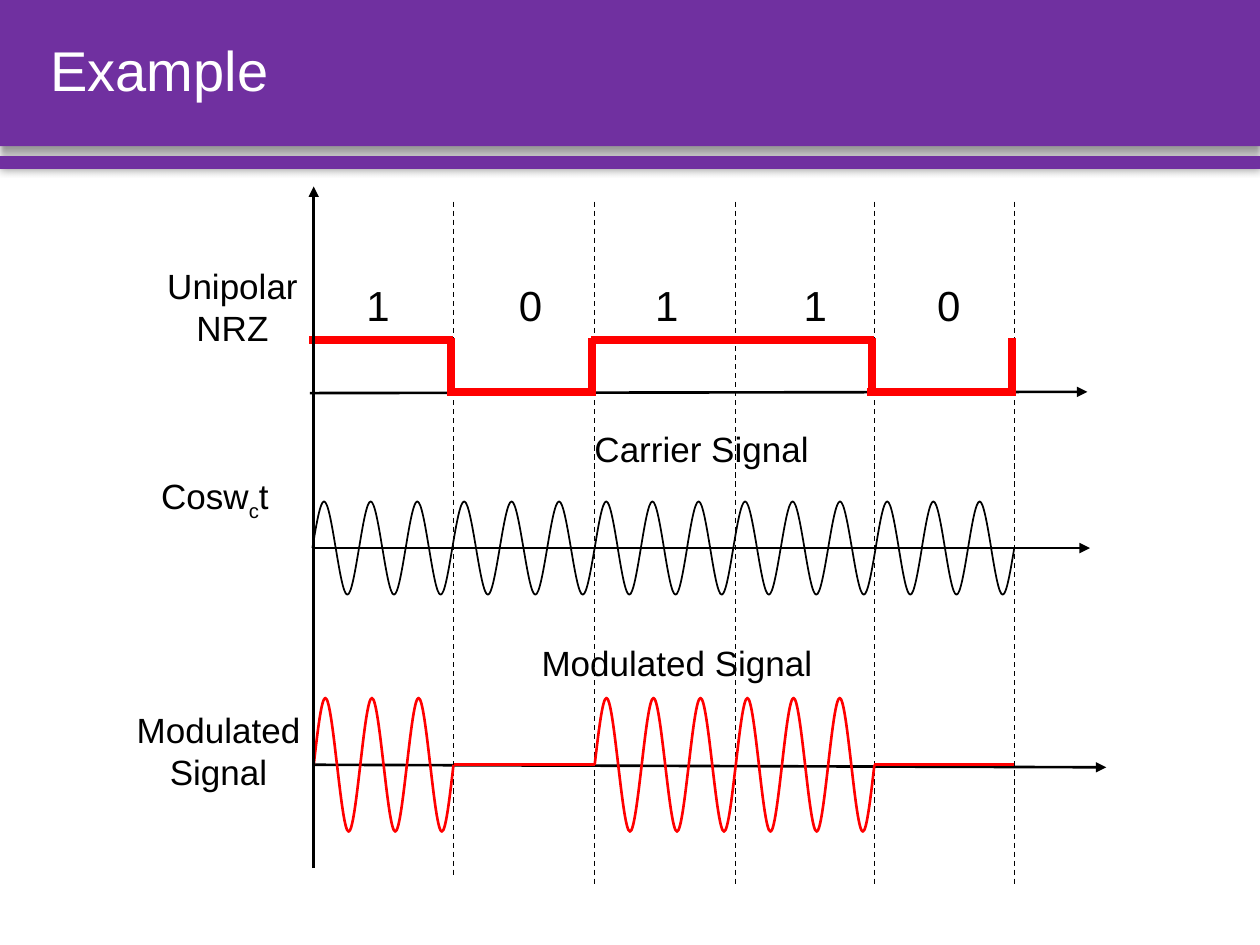
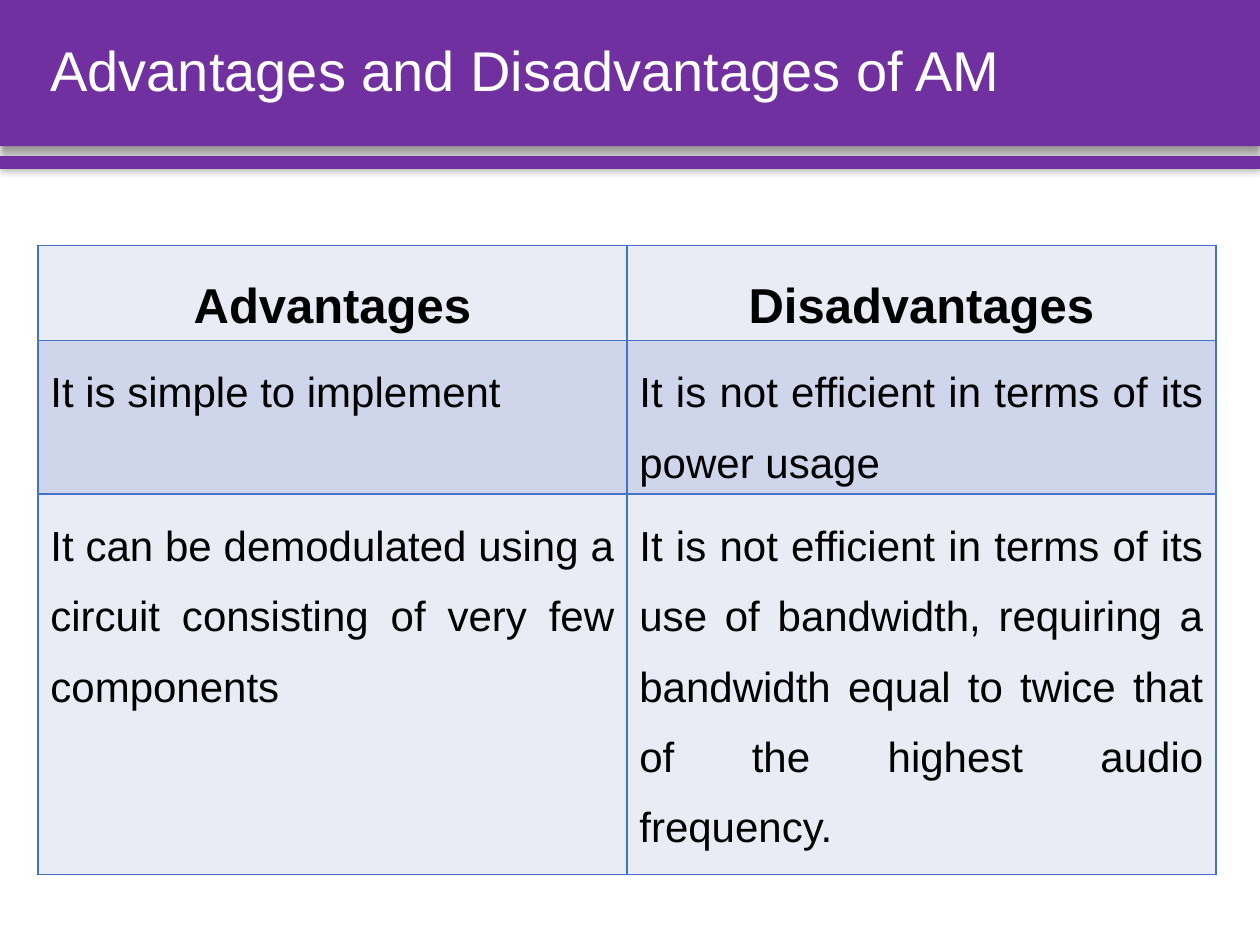
from dataclasses import dataclass

from lxml import etree
from pptx import Presentation
from pptx.dml.color import RGBColor
from pptx.enum.dml import MSO_LINE
from pptx.enum.shapes import MSO_CONNECTOR, MSO_SHAPE
from pptx.enum.text import MSO_ANCHOR, MSO_AUTO_SIZE, PP_ALIGN as Align
from pptx.oxml.ns import qn
from pptx.util import Inches, Pt

COLORS = {
    "band": "7030A0",
    "title": "FFFFFF",
    "ink": "000000",
    "signal": "FF0000",
    "border": "4472C4",
    "light_row": "E9EBF5",
    "dark_row": "CFD5EA",
}
FONT = "Arial"

# Time grid and levels of the three signals, in inches
BITS = "10110"
BIT_EDGES = (2.49, 3.6, 4.72, 5.84, 6.94, 8.05)
CARRIER_EDGES = (2.48, 3.59, 4.72, 5.82, 6.95, 8.05)
HIGH, LOW = 2.7, 3.11
PULSE_SHIFT = 0.02
PULSE_LENGTHS = {"1": 1.14, "0": 1.18}
CARRIER_AXIS, MODULATED_AXIS = 4.35, 6.07
HALF_WAVES = 6


@dataclass(frozen=True)
class Band:
    top: float
    height: float
    blur: int
    distance: int
    angle: int


@dataclass(frozen=True)
class Label:
    text: str
    left: float
    top: float
    width: float
    height: float
    size: int = 20
    align: Align = Align.CENTER
    wrap: bool = True


@dataclass(frozen=True)
class Stroke:
    color: str
    width: float
    dashed: bool = False
    arrow: bool = False


BANDS = (Band(0, 1.16, 4, 3, 90), Band(1.24, 0.1, 5, 0, 0))

LABELS = (
    Label("Unipolar NRZ", 1.2, 2.05, 1.29, 0.77),
    Label("Cosw~c~t", 1.18, 3.72, 1.31, 0.44, align=Align.LEFT),
    Label("Carrier Signal", 4.62, 3.34, 2.36, 0.44, align=Align.LEFT),
    Label("Modulated Signal", 4.2, 5.04, 2.96, 0.44, align=Align.LEFT),
    Label("Modulated\nSignal", 0.97, 5.57, 1.53, 0.77),
)
DIGIT_BOXES = ((2.81, 0.24), (4.02, 0.3), (5.1, 0.22), (6.28, 0.22), (7.34, 0.3))

AXIS = Stroke("ink", 1.5, arrow=True)
BIT_EDGE = Stroke("ink", 0.75, dashed=True)
PULSE = Stroke("signal", 4.5)
CARRIER = Stroke("ink", 1)
MODULATED = Stroke("signal", 1.5)

COMPARISON = (
    ("Advantages", "Disadvantages"),
    ("It is simple to implement",
     "It is not efficient in terms of its power usage"),
    ("It can be demodulated using a circuit consisting of very few components",
     "It is not efficient in terms of its use of bandwidth, requiring a "
     "bandwidth equal to twice that of the highest audio frequency."),
)
ROW_HEIGHTS = (0.67, 1.22, 3.02)


def rgb(name: str) -> RGBColor:
    return RGBColor.from_string(COLORS[name])


def write(frame, text: str, *, size: int, color: str = "ink", bold: bool = False,
          align: Align = Align.LEFT, spacing: float = 1.0) -> None:
    """Fill a text frame; a part between two tildes becomes a subscript."""
    paragraph = frame.paragraphs[0]
    paragraph.alignment = align
    paragraph.line_spacing = spacing
    for line_index, line in enumerate(text.split("\n")):
        if line_index:
            paragraph.add_line_break()
        for index, part in enumerate(line.split("~")):
            run = paragraph.add_run()
            run.text = part
            run.font.name = FONT
            run.font.size = Pt(size)
            run.font.bold = bold
            run.font.color.rgb = rgb(color)
            if index % 2:
                run.font._element.set("baseline", "-25000")


def apply_stroke(line, stroke: Stroke) -> None:
    line.color.rgb = rgb(stroke.color)
    line.width = Pt(stroke.width)
    if stroke.dashed:
        line.dash_style = MSO_LINE.DASH


def draw_line(slide, x1: float, y1: float, x2: float, y2: float,
              stroke: Stroke) -> None:
    connector = slide.shapes.add_connector(
        MSO_CONNECTOR.STRAIGHT, Inches(x1), Inches(y1), Inches(x2), Inches(y2))
    apply_stroke(connector.line, stroke)
    properties = connector.element.spPr
    if stroke.arrow:
        etree.SubElement(properties.find(qn("a:ln")), qn("a:tailEnd"), type="triangle")
    etree.SubElement(properties, qn("a:effectLst"))


def bend_segments(half_wave) -> None:
    """Turn the rising and the falling line of a half wave into curves."""
    path = half_wave.element.find(f".//{qn('a:path')}")
    points = [(int(point.get("x")), int(point.get("y")))
              for point in path.iter(qn("a:pt"))]
    bends = ((1 / 2, 1), (0, 1 / 2))
    for line, (x1, y1), (x2, y2), (near, far) in zip(
            path.findall(qn("a:lnTo")), points, points[1:], bends):
        curve = etree.Element(qn("a:cubicBezTo"))
        for along, across in ((1 / 3, near), (2 / 3, far), (1, 1)):
            etree.SubElement(curve, qn("a:pt"),
                             x=str(round(x1 + along * (x2 - x1))),
                             y=str(round(y1 + across * (y2 - y1))))
        path.replace(line, curve)


def draw_wave(slide, left: float, right: float, axis: float, height: float,
              stroke: Stroke) -> None:
    """Draw the half waves of one bit, in turn above and below the axis."""
    half = (right - left) / HALF_WAVES
    for index in range(HALF_WAVES):
        start = left + index * half
        peak = axis + (height if index % 2 else -height)
        builder = slide.shapes.build_freeform(Inches(start), Inches(axis))
        builder.add_line_segments(
            ((Inches(start + half / 2), Inches(peak)),
             (Inches(start + half), Inches(axis))), close=False)
        half_wave = builder.convert_to_shape()
        bend_segments(half_wave)
        half_wave.shadow.inherit = False
        half_wave.fill.background()
        apply_stroke(half_wave.line, stroke)


def draw_label(slide, label: Label) -> None:
    box = slide.shapes.add_textbox(Inches(label.left), Inches(label.top),
                                   Inches(label.width), Inches(label.height))
    box.text_frame.word_wrap = label.wrap
    box.text_frame.auto_size = MSO_AUTO_SIZE.SHAPE_TO_FIT_TEXT
    write(box.text_frame, label.text, size=label.size, align=label.align)


def add_bands(slide, layout) -> None:
    """Build the title bands and move them behind the layout's placeholders."""
    for position, band in enumerate(BANDS, start=2):
        bar = slide.shapes.add_shape(MSO_SHAPE.RECTANGLE, 0, Inches(band.top),
                                     Inches(10), Inches(band.height))
        bar.fill.solid()
        bar.fill.fore_color.rgb = rgb("band")
        bar.line.fill.background()
        bar.shadow.inherit = False
        shadow = etree.SubElement(
            bar.element.spPr.find(qn("a:effectLst")), qn("a:outerShdw"),
            blurRad=str(Pt(band.blur)), dist=str(Pt(band.distance)),
            dir=str(band.angle * 60000), rotWithShape="0")
        color = etree.SubElement(shadow, qn("a:srgbClr"), val=COLORS["ink"])
        etree.SubElement(color, qn("a:alpha"), val="40000")
        layout.shapes.element.insert(position, bar.element)


def add_titled_slide(deck, text: str):
    slide = deck.slides.add_slide(deck.slide_layouts[5])
    title = slide.shapes.title
    title.left, title.top = Inches(0.3), 0
    title.width, title.height = Inches(9.46), Inches(1.16)
    title.text_frame.vertical_anchor = MSO_ANCHOR.MIDDLE
    write(title.text_frame, text, size=32, color="title", spacing=0.9)
    return slide


def draw_signals(slide) -> None:
    bit_spans = list(zip(BITS, BIT_EDGES, BIT_EDGES[1:]))

    # Bit edges and time axes
    for edge in BIT_EDGES[1:]:
        bottom = 6.97 if edge == BIT_EDGES[1] else 7.04
        draw_line(slide, edge, 1.6, edge, bottom, BIT_EDGE)
    draw_line(slide, 2.46, 3.12, 8.63, LOW, AXIS)
    draw_line(slide, 2.48, CARRIER_AXIS, 8.65, CARRIER_AXIS, AXIS)
    draw_line(slide, 2.5, MODULATED_AXIS, 8.78, 6.09, AXIS)

    # Unipolar pulses, with a step wherever the next bit differs
    for (bit, left, right), following in zip(bit_spans, BITS[1:] + BITS[0]):
        level = HIGH if bit == "1" else LOW
        middle = (left + right) / 2 - PULSE_SHIFT
        reach = PULSE_LENGTHS[bit] / 2
        draw_line(slide, middle - reach, level, middle + reach, level, PULSE)
        if bit != following:
            step = right - PULSE_SHIFT
            draw_line(slide, step, LOW, step, HIGH - 0.02, PULSE)

    # Carrier and modulated signal
    for left, right in zip(CARRIER_EDGES, CARRIER_EDGES[1:]):
        draw_wave(slide, left, right, CARRIER_AXIS, 0.37, CARRIER)
    for bit, left, right in bit_spans:
        if bit == "1":
            draw_wave(slide, left, right, MODULATED_AXIS, 0.53, MODULATED)
        else:
            draw_line(slide, left, MODULATED_AXIS, right, MODULATED_AXIS, MODULATED)
    draw_line(slide, BIT_EDGES[0], 6.89, BIT_EDGES[0], 1.48, AXIS)

    # Digits and captions
    for bit, (left, width) in zip(BITS, DIGIT_BOXES):
        draw_label(slide, Label(bit, left, 2.17, width, 0.31, size=24,
                                wrap=width < 0.24))
    for label in LABELS:
        draw_label(slide, label)


def format_cell(cell, fill: str) -> None:
    cell.fill.solid()
    cell.fill.fore_color.rgb = rgb(fill)
    properties = cell._tc.get_or_add_tcPr()
    for position, side in enumerate(("lnL", "lnR", "lnT", "lnB")):
        border = etree.Element(qn(f"a:{side}"), w=str(Pt(1)))
        solid = etree.SubElement(border, qn("a:solidFill"))
        etree.SubElement(solid, qn("a:srgbClr"), val=COLORS["border"])
        properties.insert(position, border)


def draw_comparison(slide) -> None:
    table = slide.shapes.add_table(
        len(COMPARISON), 2, Inches(0.3), Inches(1.95),
        Inches(9.35), Inches(sum(ROW_HEIGHTS))).table
    for row_index, (texts, height) in enumerate(zip(COMPARISON, ROW_HEIGHTS)):
        table.rows[row_index].height = Inches(height)
        heading = row_index == 0
        for column, text in enumerate(texts):
            cell = table.cell(row_index, column)
            format_cell(cell, "dark_row" if row_index % 2 else "light_row")
            write(cell.text_frame, text, size=28 if heading else 24, bold=heading,
                  align=Align.CENTER if heading else Align.JUSTIFY, spacing=1.5)


def main() -> None:
    deck = Presentation()
    deck.slide_width, deck.slide_height = Inches(10), Inches(7.5)

    example = add_titled_slide(deck, "Example")
    add_bands(example, example.slide_layout)
    draw_signals(example)

    draw_comparison(add_titled_slide(deck, "Advantages and Disadvantages of AM"))
    deck.save("out.pptx")


if __name__ == "__main__":
    main()
